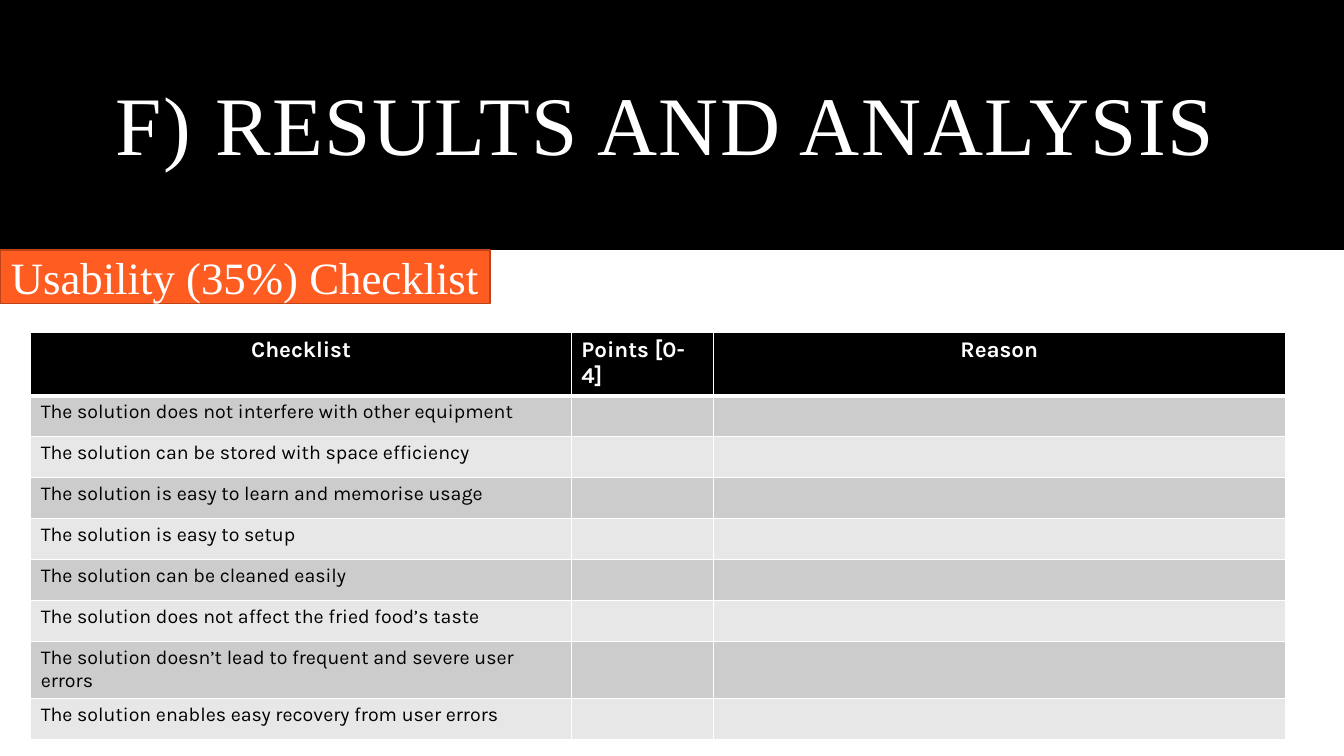
from dataclasses import dataclass

from lxml.etree import SubElement
from pptx import Presentation
from pptx.dml.color import RGBColor
from pptx.enum.shapes import MSO_SHAPE
from pptx.enum.text import MSO_ANCHOR, PP_ALIGN
from pptx.oxml.ns import qn
from pptx.util import Pt


@dataclass(frozen=True)
class Theme:
    black: str = "000000"
    white: str = "FFFFFF"
    orange: str = "FF5C21"
    rust: str = "BD4418"
    bands: tuple = ("CCCCCC", "E7E7E7")
    heading_font: str = "Times New Roman"
    body_font: str = "Karla"
    title_size: float = 59.4
    section_size: float = 32
    header_size: float = 16
    body_size: float = 14


THEME = Theme()
SLIDE_WIDTH, SLIDE_HEIGHT = 960, 540
BAND_HEIGHT = 178.5

HEADERS = (
    ("Checklist", PP_ALIGN.CENTER),
    ("Points [0-4]", PP_ALIGN.LEFT),
    ("Reason", PP_ALIGN.CENTER),
)
CRITERIA = (
    "The solution does not interfere with other equipment",
    "The solution can be stored with space efficiency",
    "The solution is easy to learn and memorise usage",
    "The solution is easy to setup",
    "The solution can be cleaned easily",
    "The solution does not affect the fried food’s taste",
    "The solution doesn’t lead to frequent and severe user errors",
    "The solution enables easy recovery from user errors",
)
COLUMN_SHARES = (0.431, 0.113, 0.456)


def write(frame, text, *, font, size, color, bold=False,
          align=PP_ALIGN.LEFT, line_spacing=None, tracking=None):
    frame.word_wrap = True
    paragraph = frame.paragraphs[0]
    paragraph.alignment = align
    if line_spacing:
        paragraph.line_spacing = line_spacing
    run = paragraph.add_run()
    run.text = text
    run.font.name = font
    run.font.size = Pt(size)
    run.font.bold = bold
    run.font.color.rgb = RGBColor.from_string(color)
    if tracking:
        run.font._element.set("spc", str(round(tracking * 100)))


def add_block(slide, box, fill, outline=None):
    block = slide.shapes.add_shape(MSO_SHAPE.RECTANGLE, *map(Pt, box))
    block.shadow.inherit = False
    block.fill.solid()
    block.fill.fore_color.rgb = RGBColor.from_string(fill)
    if outline:
        block.line.color.rgb = RGBColor.from_string(outline)
        block.line.width = Pt(1)
    else:
        block.line.fill.background()
    return block


def add_title_band(slide, box):
    left, top, width, height = box
    add_block(slide, box, THEME.black)
    title = slide.shapes.add_textbox(
        Pt(left + 75.6), Pt(top + 25.2), Pt(width - 151.2), Pt(height - 44.6))
    title.text_frame.vertical_anchor = MSO_ANCHOR.MIDDLE
    write(title.text_frame, "F) RESULTS AND ANALYSIS",
          font=THEME.heading_font, size=THEME.title_size, color=THEME.white,
          line_spacing=0.9, tracking=1.2)


def add_section_label(slide, box):
    label = add_block(slide, box, THEME.orange, THEME.rust)
    label.text_frame.vertical_anchor = MSO_ANCHOR.MIDDLE
    write(label.text_frame, "Usability (35%) Checklist",
          font=THEME.heading_font, size=THEME.section_size,
          color=THEME.white, align=PP_ALIGN.CENTER)


def style_cell(cell, fill, top_rule=1, bottom_rule=1):
    """Draw the white cell rules in points, then fill the cell."""
    properties = cell._tc.get_or_add_tcPr()
    rules = {"lnL": 1, "lnR": 1, "lnT": top_rule, "lnB": bottom_rule}
    for side, weight in rules.items():
        rule = SubElement(properties, qn(f"a:{side}"), w=str(Pt(weight)))
        paint = SubElement(rule, qn("a:solidFill"))
        SubElement(paint, qn("a:srgbClr"), val=THEME.white)
    cell.fill.solid()
    cell.fill.fore_color.rgb = RGBColor.from_string(fill)


def add_checklist(slide, box):
    width, height = box[2:]
    row_count = len(CRITERIA) + 1
    checklist = slide.shapes.add_table(
        row_count, len(HEADERS), *map(Pt, box)).table
    for column, share in zip(checklist.columns, COLUMN_SHARES):
        column.width = Pt(width * share)
    for row in checklist.rows:
        row.height = Pt(height / row_count)

    for index, (heading, align) in enumerate(HEADERS):
        cell = checklist.cell(0, index)
        style_cell(cell, THEME.black, bottom_rule=3)
        write(cell.text_frame, heading, font=THEME.body_font,
              size=THEME.header_size, color=THEME.white, bold=True,
              align=align)

    for index, criterion in enumerate(CRITERIA):
        cells = checklist.rows[index + 1].cells
        for cell in cells:
            style_cell(cell, THEME.bands[index % 2],
                       top_rule=1 if index else 3)
        write(cells[0].text_frame, criterion, font=THEME.body_font,
              size=THEME.body_size, color=THEME.black)


def main():
    deck = Presentation()
    deck.slide_width, deck.slide_height = Pt(SLIDE_WIDTH), Pt(SLIDE_HEIGHT)
    slide = deck.slides.add_slide(deck.slide_layouts[6])
    add_title_band(slide, (0, 0, SLIDE_WIDTH, BAND_HEIGHT))
    add_section_label(slide, (0, BAND_HEIGHT, 350, 38.5))
    add_checklist(slide, (21.9, 237.2, 896.2, 262.8))
    deck.save("out.pptx")


if __name__ == "__main__":
    main()
